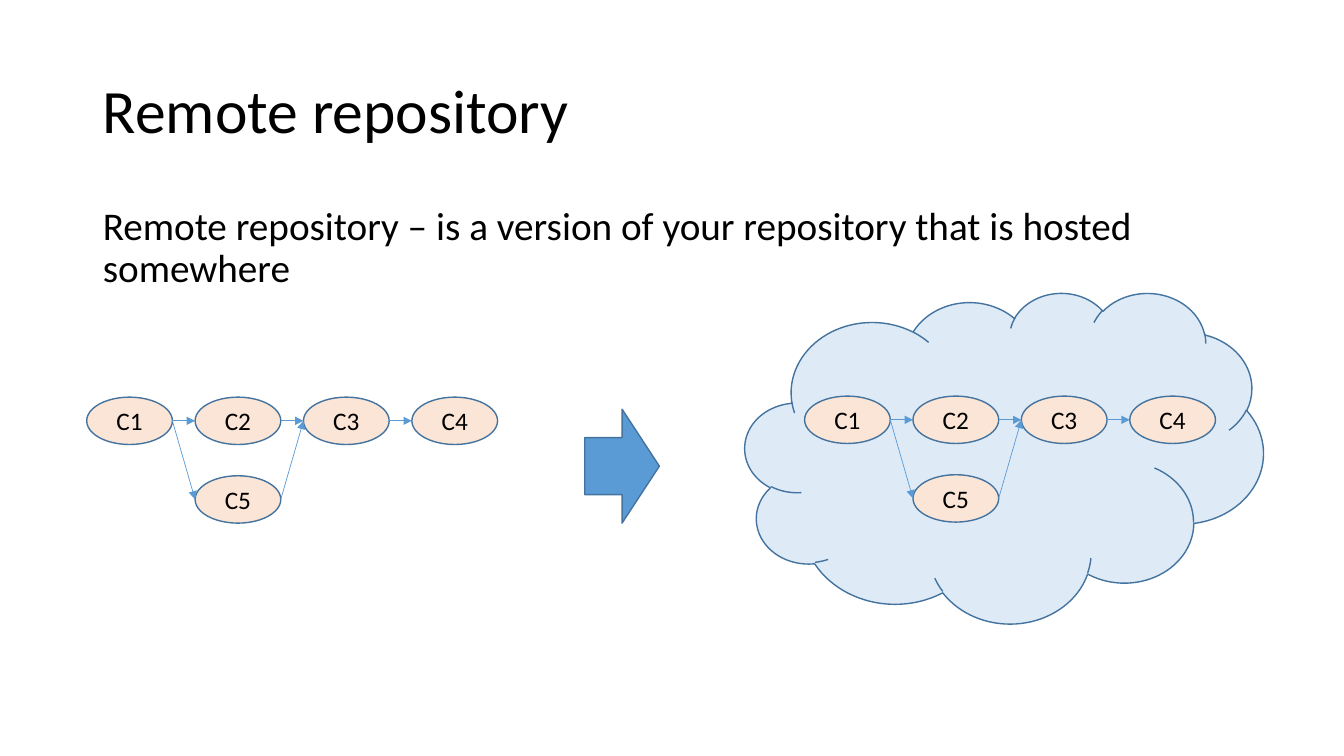
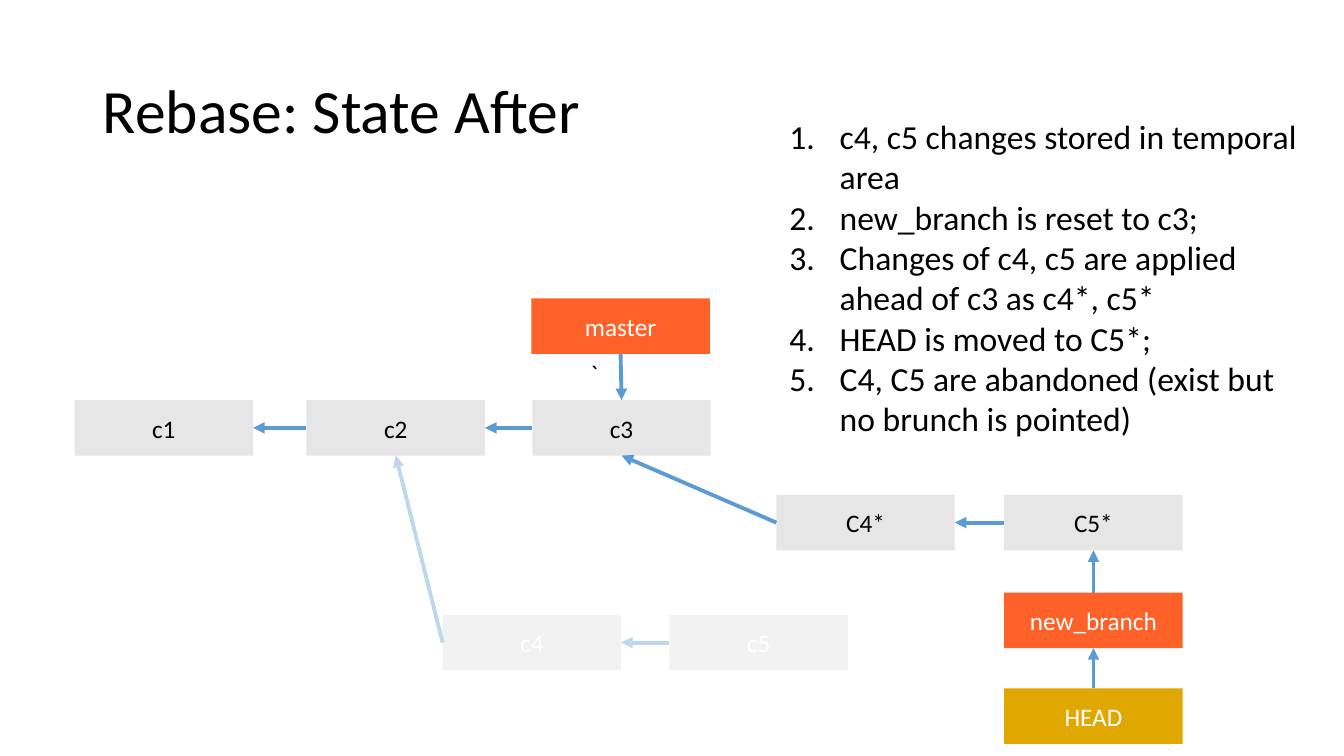
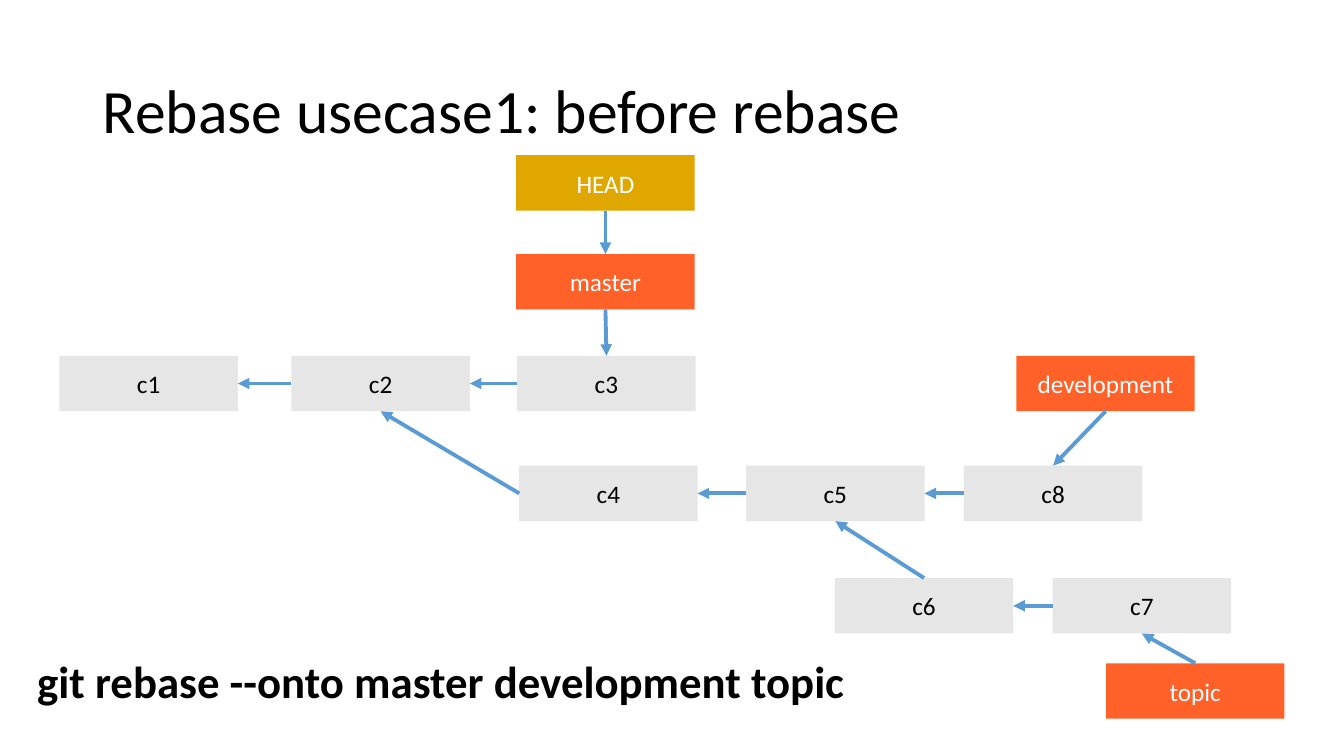
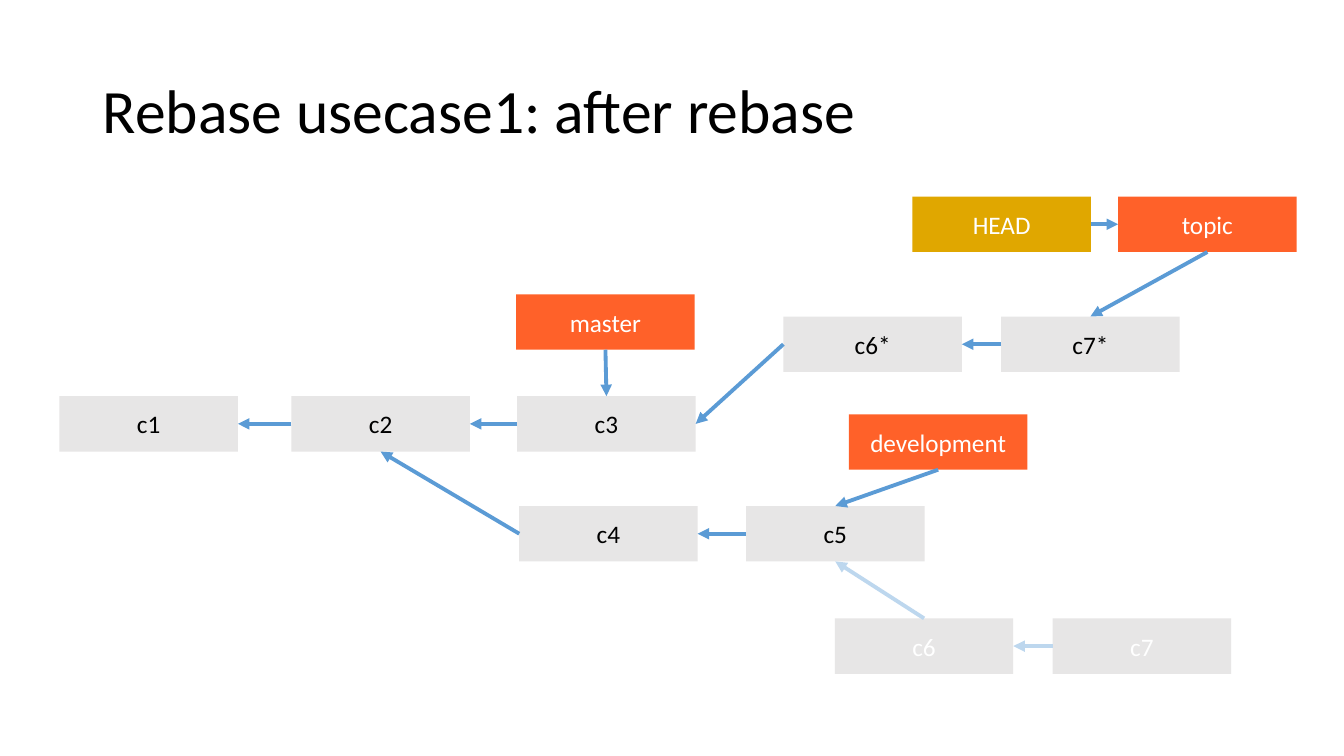
"""Build four slides on remote repositories and rebasing."""
from lxml import etree
from pptx import Presentation
from pptx.dml.color import RGBColor
from pptx.enum.shapes import MSO_CONNECTOR, MSO_SHAPE
from pptx.enum.text import MSO_ANCHOR, MSO_AUTO_SIZE, PP_ALIGN
from pptx.oxml.ns import qn
from pptx.util import Inches, Pt

STRAIGHT = MSO_CONNECTOR.STRAIGHT
RECTANGLE, ELLIPSE = MSO_SHAPE.RECTANGLE, MSO_SHAPE.OVAL
CLOUD, RIGHT_ARROW = MSO_SHAPE.CLOUD, MSO_SHAPE.RIGHT_ARROW
TOP_ANCHOR, MIDDLE = MSO_ANCHOR.TOP, MSO_ANCHOR.MIDDLE
NO_FIT = MSO_AUTO_SIZE.NONE
ALIGN_LEFT, ALIGN_CENTER = PP_ALIGN.LEFT, PP_ALIGN.CENTER

BLACK = RGBColor(0x00, 0x00, 0x00)
WHITE = RGBColor(0xFF, 0xFF, 0xFF)
BLUE = RGBColor(0x5B, 0x9B, 0xD5)
PALE_BLUE = RGBColor(0xBD, 0xD7, 0xEE)
DARK_BLUE = RGBColor(0x43, 0x73, 0x9E)
SKY = RGBColor(0xDE, 0xEB, 0xF7)
PEACH = RGBColor(0xFB, 0xE5, 0xD6)
GREY = RGBColor(0xE7, 0xE6, 0xE6)
PALE_GREY = RGBColor(0xF2, 0xF2, 0xF2)
ORANGE = RGBColor(0xFF, 0x61, 0x29)
GOLD = RGBColor(0xE0, 0xA7, 0x00)

FONT = "Calibri"
SLIDE_WIDTH, SLIDE_HEIGHT = 13.33, 7.5
MARGIN, CONTENT_WIDTH = 0.92, 11.5
BOX_WIDTH, BOX_HEIGHT = 1.77, 0.55
NODE_WIDTH, NODE_HEIGHT = 0.85, 0.47
NODE_COLUMN, NODE_ROW = 1.075, 0.78
TITLE_ONLY, TITLE_AND_CONTENT = 5, 1

TOP, LEFT, BOTTOM, RIGHT = range(4)
SIDE_SHARES = {TOP: (0.5, 0), LEFT: (0, 0.5), BOTTOM: (0.5, 1), RIGHT: (1, 0.5)}

STEPS = [
    "c4, c5 changes stored in temporal area",
    "new_branch is reset to c3;",
    "Changes of c4, c5 are applied ahead of c3 as c4*, c5*",
    "HEAD is moved to C5*;",
    "C4, C5 are abandoned (exist but no brunch is pointed)",
]


def add_run(paragraph, text, size, color=BLACK, bold=False):
    """Add a formatted run to a paragraph."""
    run = paragraph.add_run()
    run.text = text
    run.font.name = FONT
    run.font.size = Pt(size)
    run.font.bold = bold
    run.font.color.rgb = color


def place(shape, left, top, width, height):
    """Set the position and size of a shape in inches."""
    shape.left, shape.top = Inches(left), Inches(top)
    shape.width, shape.height = Inches(width), Inches(height)


def fill_placeholder(placeholder, text, size, top, height, anchor):
    """Place a placeholder on the content column and write its text."""
    place(placeholder, MARGIN, top, CONTENT_WIDTH, height)
    frame = placeholder.text_frame
    frame.auto_size = NO_FIT
    frame.vertical_anchor = anchor
    paragraph = frame.paragraphs[0]
    paragraph.alignment = ALIGN_LEFT
    paragraph.line_spacing = 0.9
    paragraph.space_before = Pt(0)
    add_run(paragraph, text, size)
    return paragraph


def add_slide(presentation, title, layout=TITLE_ONLY):
    """Add a slide with the shared title style."""
    slide = presentation.slides.add_slide(presentation.slide_layouts[layout])
    fill_placeholder(slide.shapes.title, title, 44, 0.4, 1.45, MIDDLE)
    return slide


def set_bullet(paragraph, tag, indent=0, **attributes):
    """Set the bullet element and hanging indent of a paragraph."""
    properties = paragraph._p.get_or_add_pPr()
    properties.set("marL", str(Inches(indent)))
    properties.set("indent", str(Inches(-indent)))
    etree.SubElement(properties, qn(tag), attributes)


def add_text_box(slide, left, top, width, height, wrap):
    """Add an empty text box and return its text frame."""
    box = slide.shapes.add_textbox(
        Inches(left), Inches(top), Inches(width), Inches(height))
    box.text_frame.word_wrap = wrap
    return box.text_frame


def add_figure(slide, kind, left, top, width, height, fill, line=None):
    """Add a preset shape with a flat fill and an optional outline."""
    shape = slide.shapes.add_shape(
        kind, Inches(left), Inches(top), Inches(width), Inches(height))
    shape.shadow.inherit = False
    shape.fill.solid()
    shape.fill.fore_color.rgb = fill
    if line is None:
        shape.line.fill.background()
    else:
        shape.line.color.rgb = line
        shape.line.width = Pt(1)
    return shape


def add_label(shape, text, color):
    """Write a centred label into a shape."""
    shape.text_frame.vertical_anchor = MIDDLE
    paragraph = shape.text_frame.paragraphs[0]
    paragraph.alignment = ALIGN_CENTER
    add_run(paragraph, text, 18, color)


def add_box(slide, text, left, top, fill=GREY, color=BLACK):
    """Add a labelled commit box."""
    box = add_figure(slide, RECTANGLE, left, top, BOX_WIDTH, BOX_HEIGHT, fill)
    add_label(box, text, color)
    return box


def add_branch(slide, text, left, top, fill=ORANGE):
    """Add a box that names a branch or HEAD."""
    return add_box(slide, text, left, top, fill, WHITE)


def add_node(slide, text, left, top):
    """Add a labelled commit ellipse."""
    node = add_figure(slide, ELLIPSE, left, top, NODE_WIDTH, NODE_HEIGHT, PEACH, DARK_BLUE)
    add_label(node, text, BLACK)
    return node


def side_point(shape, side):
    """Return the middle of one side of a shape."""
    across, down = SIDE_SHARES[side]
    return int(shape.left + shape.width * across), int(shape.top + shape.height * down)


def add_arrow(slide, start, start_side, end, end_side, color=BLUE, width=2.75):
    """Draw an arrow between the sides of two shapes."""
    connector = slide.shapes.add_connector(
        STRAIGHT, *side_point(start, start_side), *side_point(end, end_side))
    if start.auto_shape_type == RECTANGLE:
        connector.begin_connect(start, start_side)
        connector.end_connect(end, end_side)
    connector.line.color.rgb = color
    connector.line.width = Pt(width)
    etree.SubElement(connector.line._get_or_add_ln(), qn("a:tailEnd"), type="triangle")
    etree.SubElement(connector._element.spPr, qn("a:effectLst"))


def add_chain(slide, names, lefts, top, fill=GREY, color=BLACK, arrow=BLUE):
    """Add a row of commits, each pointing back to its parent."""
    boxes = [add_box(slide, name, left, top, fill, color)
             for name, left in zip(names, lefts)]
    for parent, child in zip(boxes, boxes[1:]):
        add_arrow(slide, child, LEFT, parent, RIGHT, arrow)
    return boxes


def add_trunk(slide, left, top):
    """Add commits c1 to c3 with the master branch above them."""
    lefts = [left + offset for offset in (0, 2.3, 4.54)]
    commits = add_chain(slide, ["c1", "c2", "c3"], lefts, top)
    master = add_branch(slide, "master", left + 4.53, top - 1.01)
    add_arrow(slide, master, BOTTOM, commits[-1], TOP)
    return commits, master


def add_side_branches(slide, second, top, names, color=BLACK, arrow=BLUE):
    """Add the row that forks from c2 and the c6, c7 row that forks from c5."""
    middle = add_chain(slide, names, (5.15, 7.4, 9.56), top)
    add_arrow(slide, middle[0], LEFT, second, BOTTOM)
    lower = add_chain(slide, ["c6", "c7"], (8.28, 10.44), top + 1.115, GREY, color, arrow)
    add_arrow(slide, lower[0], TOP, middle[1], BOTTOM, arrow)
    return middle, lower


def add_history(slide, left, top):
    """Add the small commit graph of a repository."""
    cells = {"C1": (0, 0), "C2": (1, 0), "C3": (2, 0), "C4": (3, 0), "C5": (1, 1)}
    nodes = {name: add_node(slide, name, left + column * NODE_COLUMN, top + row * NODE_ROW)
             for name, (column, row) in cells.items()}
    for start, end in ("C1", "C2"), ("C2", "C3"), ("C3", "C4"), ("C1", "C5"), ("C5", "C3"):
        add_arrow(slide, nodes[start], RIGHT, nodes[end], LEFT, width=0.5)


def build_remote(presentation):
    """Build the slide on remote repositories."""
    slide = add_slide(presentation, "Remote repository", TITLE_AND_CONTENT)
    paragraph = fill_placeholder(
        slide.placeholders[1],
        "Remote repository – is a version of your repository that is hosted somewhere",
        28, 2, 1.02, TOP_ANCHOR)
    set_bullet(paragraph, "a:buNone")
    add_figure(slide, CLOUD, 7.39, 2.9, 5.14, 3.28, SKY, DARK_BLUE)
    add_history(slide, 0.86, 3.94)
    add_history(slide, 7.98, 3.93)
    add_figure(slide, RIGHT_ARROW, 5.8, 4.06, 0.74, 1.13, BLUE, DARK_BLUE)


def build_state_after(presentation):
    """Build the slide on the state after a rebase."""
    slide = add_slide(presentation, "Rebase: State After")
    (_, second, third), _ = add_trunk(slide, 0.74, 3.97)
    abandoned = add_chain(
        slide, ["c4", "c5"], (4.39, 6.64), 6.1, PALE_GREY, WHITE, PALE_BLUE)
    add_arrow(slide, abandoned[0], LEFT, second, BOTTOM, PALE_BLUE)
    rebased = add_chain(slide, ["C4*", "C5*"], (7.7, 9.96), 4.91)
    add_arrow(slide, rebased[0], LEFT, third, BOTTOM)
    branch = add_branch(slide, "new_branch", 9.96, 5.88)
    add_arrow(slide, branch, TOP, rebased[1], BOTTOM)
    head = add_branch(slide, "HEAD", 9.96, 6.83, GOLD)
    add_arrow(slide, head, TOP, branch, BOTTOM)
    frame = add_text_box(slide, 7.73, 1.1, 5.28, 3.33, True)
    for index, step in enumerate(STEPS):
        paragraph = frame.add_paragraph() if index else frame.paragraphs[0]
        set_bullet(paragraph, "a:buAutoNum", 0.5, type="arabicPeriod")
        add_run(paragraph, step, 24)
    mark = add_text_box(slide, 5.76, 3.51, 0.28, 0.4, False)
    add_run(mark.paragraphs[0], "`", 18)


def build_before(presentation):
    """Build the slide on the first use case before the rebase."""
    slide = add_slide(presentation, "Rebase usecase1: before rebase")
    (_, second, _), master = add_trunk(slide, 0.59, 3.53)
    head = add_branch(slide, "HEAD", 5.12, 1.54, GOLD)
    add_arrow(slide, head, BOTTOM, master, TOP)
    middle, lower = add_side_branches(slide, second, 4.62, ["c4", "c5", "c8"])
    development = add_branch(slide, "development", 10.08, 3.53)
    add_arrow(slide, development, BOTTOM, middle[2], TOP)
    topic = add_branch(slide, "topic", 10.97, 6.58)
    add_arrow(slide, topic, TOP, lower[1], BOTTOM)
    command = add_text_box(slide, 0.27, 6.44, 8.38, 0.64, False)
    add_run(command.paragraphs[0], "git rebase --onto master development topic", 32, bold=True)


def build_after(presentation):
    """Build the slide on the first use case after the rebase."""
    slide = add_slide(presentation, "Rebase usecase1: after rebase")
    (_, second, third), _ = add_trunk(slide, 0.59, 3.93)
    middle, _ = add_side_branches(slide, second, 5.02, ["c4", "c5"], WHITE, PALE_BLUE)
    development = add_branch(slide, "development", 8.42, 4.11)
    add_arrow(slide, development, BOTTOM, middle[1], TOP)
    rebased = add_chain(slide, ["c6*", "c7*"], (7.77, 9.93), 3.14)
    add_arrow(slide, rebased[0], LEFT, third, RIGHT)
    topic = add_branch(slide, "topic", 11.09, 1.95)
    add_arrow(slide, topic, BOTTOM, rebased[1], TOP)
    head = add_branch(slide, "HEAD", 9.05, 1.95, GOLD)
    add_arrow(slide, head, RIGHT, topic, LEFT)


def main():
    """Build and save the presentation."""
    presentation = Presentation()
    presentation.slide_width = Inches(SLIDE_WIDTH)
    presentation.slide_height = Inches(SLIDE_HEIGHT)
    for build in build_remote, build_state_after, build_before, build_after:
        build(presentation)
    presentation.save("out.pptx")


if __name__ == "__main__":
    main()
